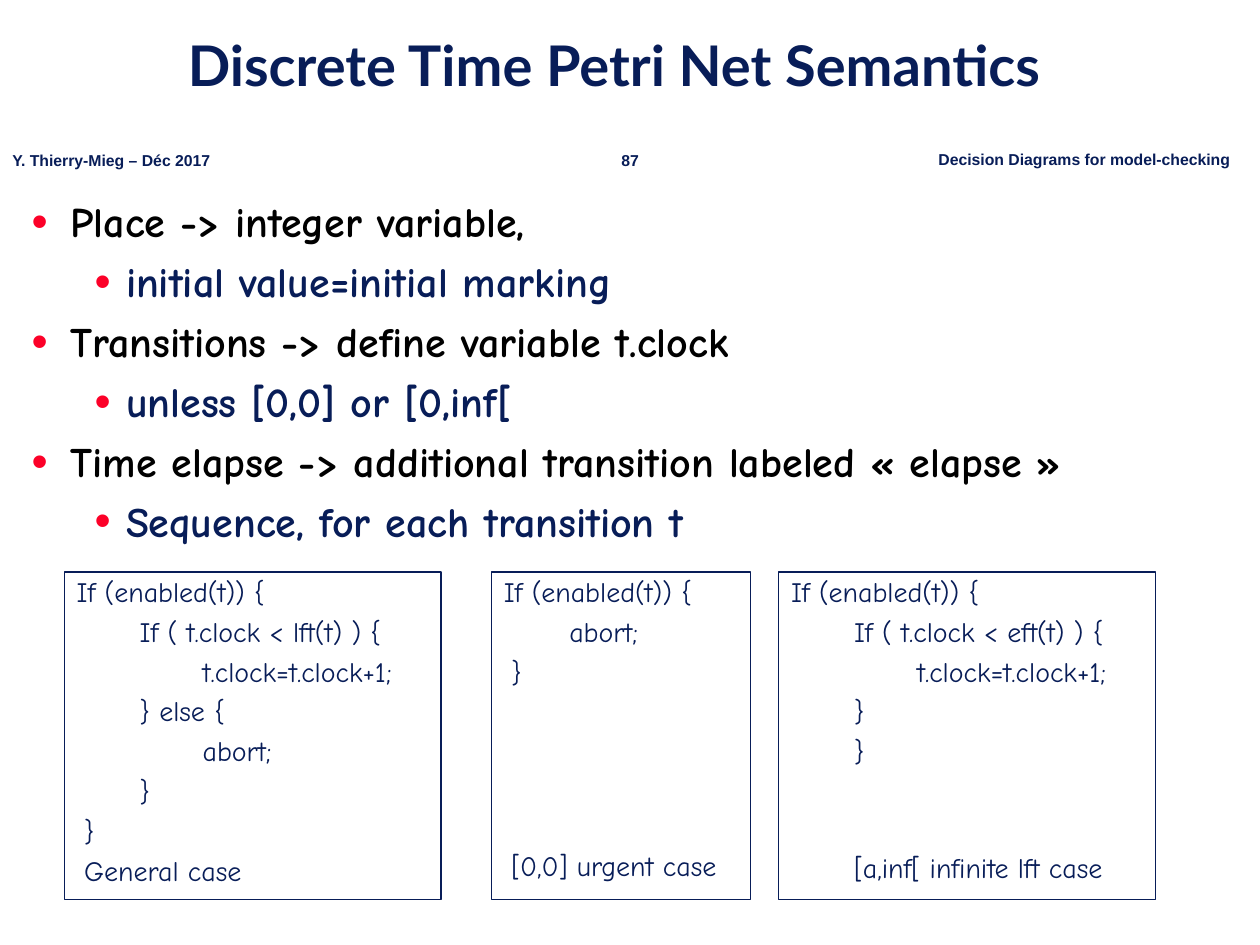
from dataclasses import dataclass

from lxml import etree
from pptx import Presentation
from pptx.dml.color import RGBColor
from pptx.enum.shapes import MSO_SHAPE
from pptx.enum.text import MSO_ANCHOR, MSO_AUTO_SIZE, PP_ALIGN
from pptx.oxml.ns import qn
from pptx.util import Inches, Pt

NAVY = RGBColor(0x08, 0x1D, 0x58)
BLACK = RGBColor(0x00, 0x00, 0x00)
RED = RGBColor(0xFC, 0x01, 0x28)

LEFT, CENTER = PP_ALIGN.LEFT, PP_ALIGN.CENTER
TOP, MIDDLE = MSO_ANCHOR.TOP, MSO_ANCHOR.MIDDLE
NO_AUTOFIT = MSO_AUTO_SIZE.NONE
RECTANGLE = MSO_SHAPE.RECTANGLE

# The slide is a grid of 100 columns by 100 rows
WIDTH, HEIGHT = Inches(10), Inches(7.5)
COLUMN, ROW = WIDTH / 100, HEIGHT / 100

LINE_SPACING = 0.9
FONT_HEIGHT = 1.15  # line height of Comic Neue, in font sizes
GAP_SHARE = 0.3     # space before a paragraph, in line heights
TAB = 0.5
CLOSING = 0.06      # indent of a closing brace


@dataclass(frozen=True)
class Area:
    """A place on the grid, in columns and rows."""
    left: float
    top: float
    width: float
    height: float


@dataclass(frozen=True)
class Style:
    font: str
    size: float
    color: RGBColor
    bold: bool = False


@dataclass(frozen=True)
class Label:
    text: str
    area: Area
    align: PP_ALIGN = LEFT


@dataclass(frozen=True)
class CodeLine:
    text: str
    indent: float = 0
    skipped: int = 0  # free lines above


@dataclass(frozen=True)
class CodeBox:
    area: Area
    lines: tuple[CodeLine, ...]


TITLE_STYLE = Style("Lato", 32, NAVY, True)
LABEL_STYLE = Style("Arial", 9, NAVY, True)
CODE_STYLE = Style("Comic Neue", 16, NAVY)
# For each list level: style, left margin, hanging indent
LEVELS = (
    (Style("Comic Neue", 24, BLACK, True), 0.31, -0.31),
    (Style("Comic Neue", 24, NAVY, True), 0.75, -0.25),
)

LABELS = (
    Label("87", Area(47.9, 15.3, 4.2, 3.3), CENTER),
    Label("Y. Thierry-Mieg – Déc 2017", Area(0, 15.3, 18, 3.3)),
    Label("Decision Diagrams for model-checking", Area(73.5, 15.2, 25.3, 3.3)),
)

POINTS = (
    (0, "Place -> integer variable,"),
    (1, "initial value=initial marking"),
    (0, "Transitions -> define variable t.clock"),
    (1, "unless [0,0] or [0,inf["),
    (0, "Time elapse -> additional transition labeled « elapse »"),
    (1, "Sequence, for each transition t"),
)

BOX_TOP, BOX_HEIGHT = 60.53, 34.7
ENABLED = CodeLine("If (enabled(t)) {")
TICK = CodeLine("t.clock=t.clock+1;", 2 * TAB)
CODE_BOXES = (
    CodeBox(Area(5.1, BOX_TOP, 29.9, BOX_HEIGHT), (
        ENABLED,
        CodeLine("If ( t.clock < lft(t) ) {", TAB),
        TICK,
        CodeLine("} else {", TAB),
        CodeLine("abort;", 2 * TAB),
        CodeLine("}", TAB),
        CodeLine("}", CLOSING),
        CodeLine("General case", CLOSING),
    )),
    CodeBox(Area(39, BOX_TOP, 20.6, BOX_HEIGHT), (
        ENABLED,
        CodeLine("abort;", 0.52),
        CodeLine("}", CLOSING),
        CodeLine("[0,0] urgent case", CLOSING, skipped=4),
    )),
    CodeBox(Area(61.8, BOX_TOP, 29.9, BOX_HEIGHT), (
        ENABLED,
        CodeLine("If ( t.clock < eft(t) ) {", TAB),
        TICK,
        CodeLine("}", TAB),
        CodeLine("}", TAB),
        CodeLine("[a,inf[ infinite lft case", TAB, skipped=2),
    )),
)


def corners(area: Area) -> tuple[int, int, int, int]:
    return (round(area.left * COLUMN), round(area.top * ROW),
            round(area.width * COLUMN), round(area.height * ROW))


def move(shape, area: Area) -> None:
    shape.left, shape.top, shape.width, shape.height = corners(area)


def prepare(frame, anchor: MSO_ANCHOR, wrap: bool = True) -> None:
    frame.auto_size = NO_AUTOFIT
    frame.word_wrap = wrap
    frame.vertical_anchor = anchor


def paragraph(frame, index: int):
    return frame.add_paragraph() if index else frame.paragraphs[0]


def add_text(para, text: str, style: Style, align: PP_ALIGN = LEFT) -> None:
    para.alignment = align
    span = para.add_run()
    span.text = text
    span.font.name = style.font
    span.font.size = Pt(style.size)
    span.font.bold = style.bold
    span.font.color.rgb = style.color


def set_spacing(para, size: float, skipped: int = 0) -> None:
    line = size * FONT_HEIGHT
    para.line_spacing = LINE_SPACING
    para.space_before = Pt(line * (GAP_SHARE + skipped * (LINE_SPACING + GAP_SHARE)))


def set_indent(para, margin: float, first: float = 0):
    properties = para._p.get_or_add_pPr()
    properties.set("marL", str(Inches(margin)))
    properties.set("indent", str(Inches(first)))
    return properties


def add_bullet(properties) -> None:
    color = etree.SubElement(properties, qn("a:buClr"))
    etree.SubElement(color, qn("a:srgbClr"), val=str(RED))
    etree.SubElement(properties, qn("a:buSzPct"), val="110000")
    etree.SubElement(properties, qn("a:buFont"), typeface="Arial")
    etree.SubElement(properties, qn("a:buChar"), char="•")


def fill_title(title) -> None:
    move(title, Area(13.9, 0, 86.1, 14.4))
    prepare(title.text_frame, MIDDLE)
    para = title.text_frame.paragraphs[0]
    para.line_spacing = LINE_SPACING
    add_text(para, "Discrete Time Petri Net Semantics", TITLE_STYLE)


def fill_list(body) -> None:
    move(body, Area(1.5, 20.67, 96.9, 78.8))
    prepare(body.text_frame, TOP)
    for index, (level, text) in enumerate(POINTS):
        style, margin, first = LEVELS[level]
        para = paragraph(body.text_frame, index)
        para.level = level
        set_spacing(para, style.size)
        add_bullet(set_indent(para, margin, first))
        add_text(para, text, style)


def draw_label(page, label: Label) -> None:
    box = page.shapes.add_textbox(*corners(label.area))
    prepare(box.text_frame, TOP, wrap=False)
    add_text(box.text_frame.paragraphs[0], label.text, LABEL_STYLE, label.align)


def draw_code(page, code: CodeBox) -> None:
    box = page.shapes.add_shape(RECTANGLE, *corners(code.area))
    box.shadow.inherit = False
    box.fill.background()
    box.line.color.rgb = NAVY
    box.line.width = Pt(0.75)
    prepare(box.text_frame, TOP)
    for index, line in enumerate(code.lines):
        para = paragraph(box.text_frame, index)
        set_spacing(para, CODE_STYLE.size, line.skipped)
        set_indent(para, line.indent)
        add_text(para, line.text, CODE_STYLE)


def main() -> None:
    deck = Presentation()
    deck.slide_width, deck.slide_height = WIDTH, HEIGHT
    page = deck.slides.add_slide(deck.slide_layouts[1])
    # Title and list
    fill_title(page.shapes.title)
    fill_list(page.placeholders[1])
    # Header line
    for label in LABELS:
        draw_label(page, label)
    # The three cases
    for code in CODE_BOXES:
        draw_code(page, code)
    deck.save("out.pptx")


if __name__ == "__main__":
    main()
